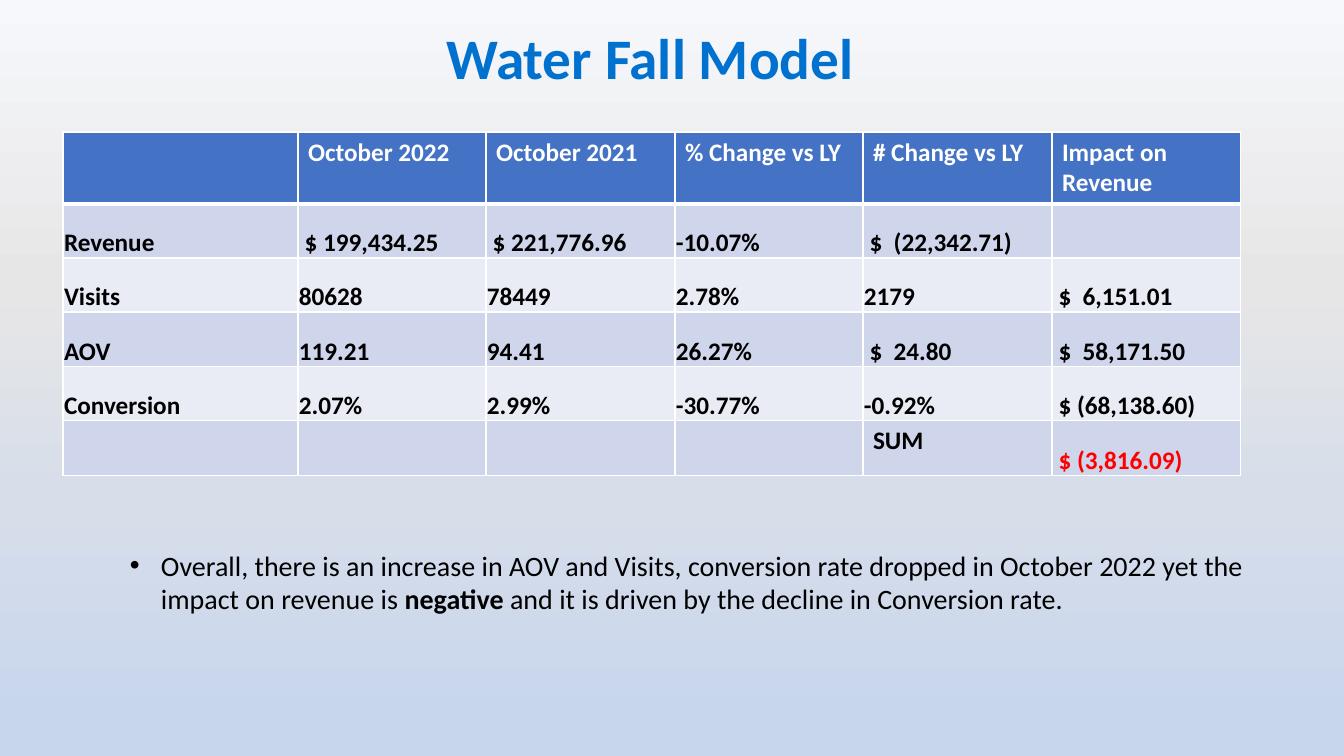
from lxml import etree
from pptx import Presentation
from pptx.dml.color import RGBColor
from pptx.enum.text import MSO_ANCHOR, PP_ALIGN
from pptx.oxml.ns import qn
from pptx.util import Pt

PX = 914400 / 100.8
FONT = "Calibri"
BOTTOM = MSO_ANCHOR.BOTTOM
TOP = MSO_ANCHOR.TOP
CENTER = PP_ALIGN.CENTER

TITLE_BLUE = RGBColor(0x00, 0x71, 0xCE)
HEADER_BLUE = RGBColor(0x44, 0x72, 0xC4)
BAND_DARK = RGBColor(0xCF, 0xD5, 0xEA)
BAND_LIGHT = RGBColor(0xE9, 0xEB, 0xF5)
WHITE = RGBColor(0xFF, 0xFF, 0xFF)
BLACK = RGBColor(0x00, 0x00, 0x00)
RED = RGBColor(0xFF, 0x00, 0x00)

# Background stops: percent down the page, colour
BACKGROUND = [
    (0, RGBColor(0xF6, 0xF8, 0xFC)),
    (37, RGBColor(0xE7, 0xE6, 0xE6)),
    (66, RGBColor(0xD7, 0xDE, 0xEA)),
    (96, RGBColor(0xC7, 0xD5, 0xED)),
]

HEADER_HEIGHT, BODY_HEIGHT = 72, 272
LABEL_WIDTH, VALUES_WIDTH = 235, 943
ROWS = [
    ["", "October 2022", "October 2021", "% Change vs LY", "# Change vs LY", "Impact on Revenue"],
    ["Revenue", " $ 199,434.25", " $ 221,776.96", "-10.07%", " $  (22,342.71)", ""],
    ["Visits", "80628", "78449", "2.78%", "2179", " $  6,151.01"],
    ["AOV", "119.21", "94.41", "26.27%", " $  24.80", " $  58,171.50"],
    ["Conversion", "2.07%", "2.99%", "-30.77%", "-0.92%", " $ (68,138.60)"],
    ["", "", "", "", "SUM", " $ (3,816.09)"],
]


def px(length):
    return round(length * PX)


def split(total, count):
    """Divide a length into whole-pixel parts that add up to it."""
    edges = [total * i // count for i in range(count + 1)]
    return [end - start for start, end in zip(edges, edges[1:])]


def set_margins(target, left, top, right, bottom):
    margins = {"left": left, "top": top, "right": right, "bottom": bottom}
    for side, value in margins.items():
        setattr(target, "margin_" + side, px(value))


def add_span(para, text, size, color, bold=False):
    span = para.add_run()
    span.text = text
    style = {"name": FONT, "size": Pt(size), "bold": bold}
    for name, value in style.items():
        setattr(span.font, name, value)
    span.font.color.rgb = color


def add_text_box(page, left, top, width, height):
    box = page.shapes.add_textbox(px(left), px(top), px(width), px(height))
    frame = box.text_frame
    frame.word_wrap = True
    set_margins(frame, 10, 5, 10, 5)
    return frame


def paint_background(page):
    fill = page.background.fill
    fill.gradient()
    fill.gradient_angle = 270
    stops = page.background.fill.gradient_stops
    stop_list = next(page.element.iter(qn("a:gsLst")))
    for _ in range(len(stops)):
        stop_list.remove(stop_list[0])
    for percent, color in BACKGROUND:
        stop = etree.SubElement(stop_list, qn("a:gs"), pos=str(percent * 1000))
        etree.SubElement(stop, qn("a:srgbClr"), val=str(color))


def set_borders(cell, bottom):
    properties = cell._tc.get_or_add_tcPr()
    widths = {"a:lnL": 1, "a:lnR": 1, "a:lnT": 1, "a:lnB": bottom}
    for tag, width in widths.items():
        line = etree.SubElement(properties, qn(tag), w=str(Pt(width)))
        fill = etree.SubElement(line, qn("a:solidFill"))
        etree.SubElement(fill, qn("a:srgbClr"), val=str(WHITE))


def fill_cell(cell, text, background, color, at_bottom, border_bottom):
    set_borders(cell, border_bottom)
    cell.fill.solid()
    cell.fill.fore_color.rgb = background
    cell.vertical_anchor = BOTTOM if at_bottom else TOP
    if at_bottom:
        set_margins(cell, 1, 1, 1, 0)
    if text:
        add_span(cell.text_frame.paragraphs[0], text, 18, color, True)


def add_revenue_table(page):
    widths = [LABEL_WIDTH] + split(VALUES_WIDTH, len(ROWS[0]) - 1)
    heights = [HEADER_HEIGHT] + split(BODY_HEIGHT, len(ROWS) - 1)
    table = page.shapes.add_table(
        len(ROWS), len(ROWS[0]), px(63), px(132), px(sum(widths)), px(sum(heights))
    ).table
    for column, width in zip(table.columns, widths):
        column.width = px(width)
    for row, height in zip(table.rows, heights):
        row.height = px(height)
    for r, texts in enumerate(ROWS):
        for c, text in enumerate(texts):
            cell = table.cell(r, c)
            if r == 0:
                fill_cell(cell, text, HEADER_BLUE, WHITE, False, 3)
                continue
            is_total = r == len(ROWS) - 1 and c == len(texts) - 1
            at_bottom = text not in ("", "SUM")
            band = BAND_DARK if r % 2 else BAND_LIGHT
            fill_cell(cell, text, band, RED if is_total else BLACK, at_bottom, 1)


def add_bullet(para, indent):
    properties = para._p.get_or_add_pPr()
    properties.set("marL", str(px(indent)))
    properties.set("indent", str(-px(indent)))
    etree.SubElement(properties, qn("a:buFont"), typeface="Arial")
    etree.SubElement(properties, qn("a:buChar"), char="•")


def main():
    deck = Presentation()
    deck.slide_width, deck.slide_height = px(1344), px(756)
    page = deck.slides.add_slide(deck.slide_layouts[6])
    paint_background(page)

    # Title
    title = add_text_box(page, 120, 8, 1050, 89)
    set_margins(title, 10, 5, 0, 5)
    title.vertical_anchor = BOTTOM
    para = title.paragraphs[0]
    para.alignment = CENTER
    para.line_spacing = 0.9
    add_span(para, "Water Fall Model", 40.9, TITLE_BLUE, True)

    # Comparison table
    add_revenue_table(page)

    # Conclusion
    para = add_text_box(page, 120, 543, 1155, 78).paragraphs[0]
    add_bullet(para, 31)
    add_span(
        para,
        "Overall, there is an increase in AOV and Visits, conversion rate dropped "
        "in October 2022 yet the impact on revenue is ",
        20,
        BLACK,
    )
    add_span(para, "negative", 20, BLACK, True)
    add_span(para, " and it is driven by the decline in Conversion rate.", 20, BLACK)

    deck.save("out.pptx")


if __name__ == "__main__":
    main()
